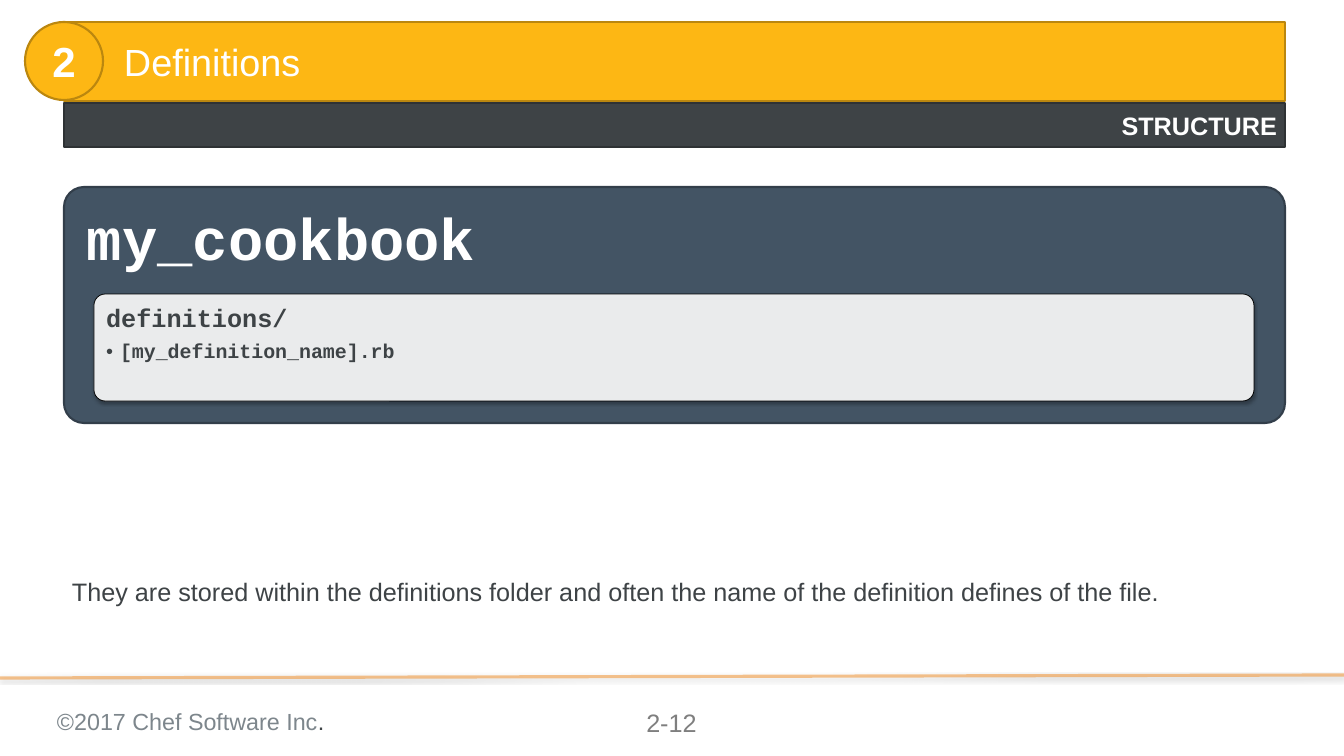
from dataclasses import dataclass

from lxml import etree
from pptx import Presentation
from pptx import util as u
from pptx.dml.color import RGBColor
from pptx.enum import shapes, text
from pptx.oxml import ns

PX = 914400 / 75.6
KIND = shapes.MSO_SHAPE
SIDE = text.PP_ALIGN
MID = text.MSO_ANCHOR.MIDDLE


@dataclass(frozen=True)
class Theme:
    sans: str = "Arial"
    mono: str = "Courier New"
    gold: str = "FDB714"
    bronze: str = "BB870F"
    dark: str = "3E4346"
    edge: str = "2E3234"
    slate: str = "435464"
    navy: str = "323E4A"
    white: str = "FFFFFF"
    black: str = "000000"
    gray: str = "7D868C"
    mute: str = "7F7F7F"
    rule: str = "F18B21"
    huge: float = 56
    badge: float = 40
    head: float = 36
    base: float = 24
    foot: float = 22.2
    item: float = 19


def px(val):
    return u.Emu(round(val * PX))


def put(obj, vals):
    for key, val in vals.items():
        setattr(obj, key, val)


def add(node, tag, **vals):
    return etree.SubElement(node, ns.qn(tag), {k: str(v) for k, v in vals.items()})


def fade(node, part):
    add(next(node.iter(ns.qn("a:srgbClr"))), "a:alpha", val=part * 1000)


def dent(para, size, mark=None):
    node = para._p.get_or_add_pPr()
    node.set("marL", str(px(size)))
    node.set("indent", str(px(-size)))
    if mark:
        add(node, "a:buFont", typeface="Arial")
        add(node, "a:buChar", char=mark)
    else:
        add(node, "a:buNone")


class Deck:
    """Holds the theme and the current slide."""

    def __init__(self, theme, wide, high):
        self.theme = theme
        self.prs = Presentation()
        put(self.prs, {"slide_width": px(wide), "slide_height": px(high)})
        self.slide = self.prs.slides.add_slide(self.prs.slide_layouts[1])

    def place(self, shape, box):
        put(shape, dict(zip(("left", "top", "width", "height"), map(px, box))))
        shape.element.getparent().append(shape.element)
        return shape

    def paint(self, shape, fill, line, width):
        shape.fill.solid()
        shape.fill.fore_color.rgb = RGBColor.from_string(fill)
        shape.line.color.rgb = RGBColor.from_string(line)
        shape.line.width = u.Pt(width)

    def shade(self, shape):
        spot = add(add(shape.element.spPr, "a:effectLst"), "a:outerShdw",
                   blurRad=40000, dist=23000, dir=5400000, rotWithShape=0)
        add(spot, "a:srgbClr", val=self.theme.black)
        fade(spot, 35)

    def shape(self, kind, box, fill, line, width=2, bend=None, cast=False):
        item = self.slide.shapes.add_shape(kind, *map(px, box))
        self.paint(item, fill, line, width)
        if bend:
            item.adjustments[0] = bend
        if cast:
            self.shade(item)
        else:
            item.shadow.inherit = False
        return item

    def frame(self, shape, pad=(8, 8, 8, 8), **vals):
        body = shape.text_frame
        put(body, {"word_wrap": True, "auto_size": text.MSO_AUTO_SIZE.NONE, **vals})
        sides = ("margin_left", "margin_top", "margin_right", "margin_bottom")
        put(body, dict(zip(sides, map(px, pad))))
        return body

    def say(self, para, words, size, color, font=None, bold=False, **vals):
        put(para, {"alignment": SIDE.LEFT, **vals})
        run = para.add_run()
        run.text = words
        put(run.font, {"name": font or self.theme.sans, "size": u.Pt(size), "bold": bold})
        run.font.color.rgb = RGBColor.from_string(color)

    def label(self, box, words, size, color, pad=(8, 8, 8, 8), **vals):
        item = self.slide.shapes.add_textbox(*map(px, box))
        para = self.frame(item, pad).paragraphs[0]
        self.say(para, words, size, color, **vals)
        return para

    def title(self, box, words):
        t = self.theme
        item = self.place(self.slide.shapes.title, box)
        self.paint(item, t.gold, t.bronze, 2)
        body = self.frame(item, (60, 8, 8, 8), vertical_anchor=MID)
        self.say(body.paragraphs[0], words, t.head, t.white)

    def tag(self, shape, words, size, side):
        body = self.frame(shape, (8, 4, 8, 4), vertical_anchor=MID)
        self.say(body.paragraphs[0], words, size, self.theme.white,
                 bold=True, alignment=side)

    def list(self, box, head, items):
        t = self.theme
        body = self.frame(self.place(self.slide.placeholders[1], box))
        look = {"color": t.dark, "font": t.mono, "bold": True,
                "line_spacing": 0.9, "space_before": u.Pt(0)}
        para = body.paragraphs[0]
        self.say(para, head, t.base, space_after=u.Pt(8), **look)
        dent(para, 0)
        for words in items:
            para = body.add_paragraph()
            self.say(para, words, t.item, level=1, space_after=u.Pt(3), **look)
            dent(para, 14, "•")

    def rule(self, start, end, color, width):
        item = self.slide.shapes.add_connector(
            shapes.MSO_CONNECTOR.STRAIGHT, *map(px, start + end))
        item.line.color.rgb = RGBColor.from_string(color)
        item.line.width = u.Pt(width)
        fade(item.element.spPr, 50)
        self.shade(item)


def main():
    t = Theme()
    deck = Deck(t, 1344, 756)
    left, wide = 64, 1221

    deck.rule((1344, 675), (0, 678), t.rule, 3)
    foot = deck.label((49, 699, 446, 39), "©2017 Chef Software Inc", t.foot, t.gray)
    deck.say(foot, ".", t.foot, t.dark)
    deck.label((612, 699, 119, 43), "2-12", t.base, t.mute, alignment=SIDE.CENTER)

    deck.title((left, 22, wide, 79), "Definitions")
    badge = deck.shape(KIND.OVAL, (25, 22, 78, 78), t.gold, t.bronze)
    deck.tag(badge, "2", t.badge, SIDE.CENTER)
    band = deck.shape(KIND.RECTANGLE, (left, 103, wide, 44), t.dark, t.edge)
    deck.tag(band, "STRUCTURE", t.base, SIDE.RIGHT)

    deck.shape(KIND.ROUNDED_RECTANGLE, (left, 187, wide, 236), t.slate, t.navy, bend=0.085)
    deck.label((70, 193, 1210, 225), "my_cookbook", t.huge, t.white, (17, 17, 17, 146),
               font=t.mono, bold=True, line_spacing=0.9)
    card = deck.shape(KIND.ROUNDED_RECTANGLE, (94, 294, 1160, 107), t.white, t.black,
                      0.75, 0.105, True)
    fade(card.element.spPr, 90)
    deck.list((98, 298, 1154, 100), "definitions/", ["[my_definition_name].rb"])

    deck.label((left, 568, wide, 90),
               "They are stored within the definitions folder and often the name "
               "of the definition defines of the file.", t.base, t.dark)
    deck.prs.save("out.pptx")


if __name__ == "__main__":
    main()
